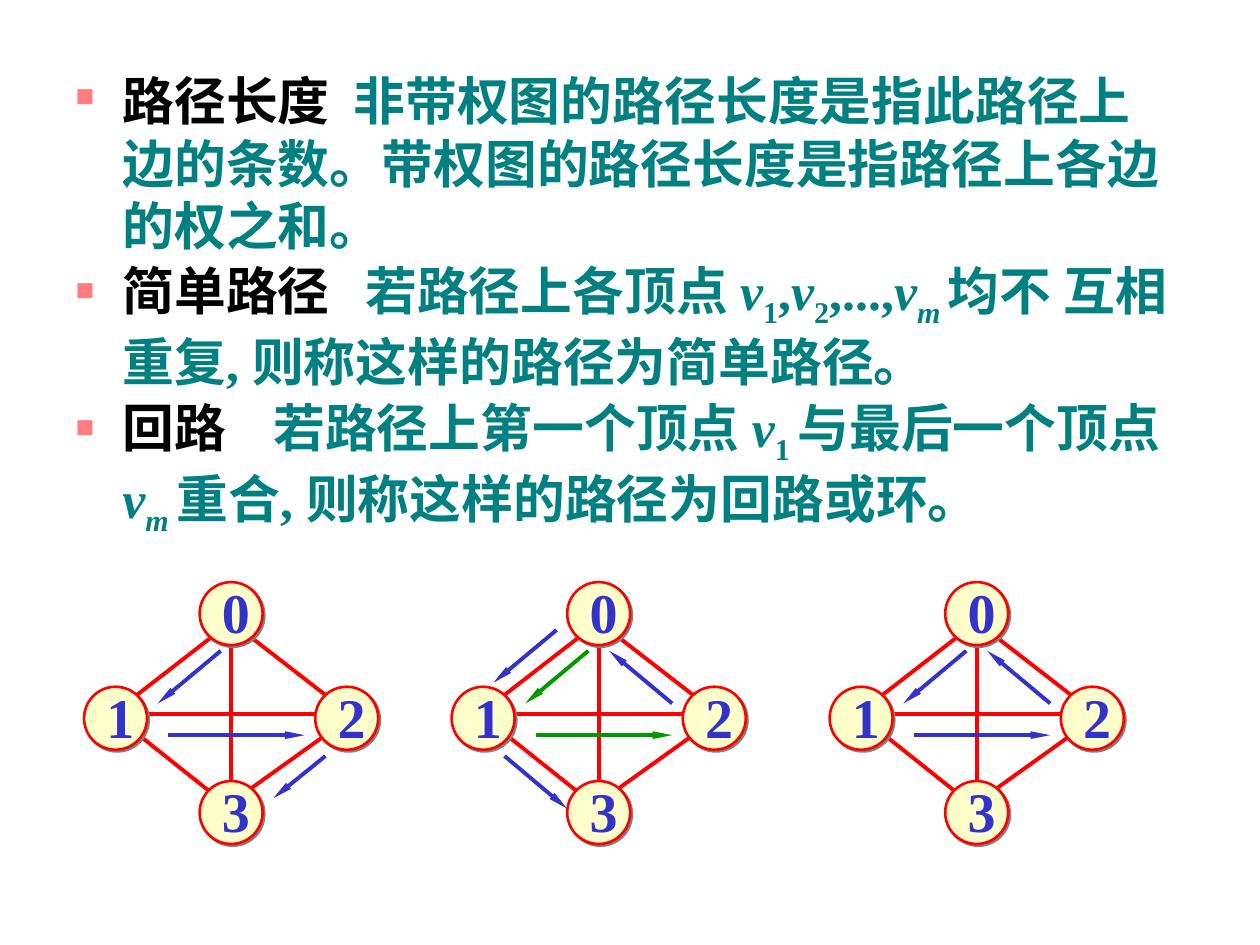
from typing import NamedTuple

from lxml import etree
from pptx import Presentation
from pptx import util as u
from pptx.dml.color import RGBColor
from pptx.enum import shapes, text
from pptx.oxml.ns import qn

Cm, Pt = u.Cm, u.Pt
FONT = "Times New Roman"
BLACK, TEAL, RED, BLUE, GREEN = "000000", "008080", "FF0000", "3333CC", "009900"


class Bit(NamedTuple):
    text: str
    color: str = TEAL
    slant: bool = False
    sub: bool = False


class Node(NamedTuple):
    name: str
    x: float
    y: float


class Line(NamedTuple):
    x1: float
    y1: float
    x2: float
    y2: float


class Graph(NamedTuple):
    mid: float
    arrows: list[tuple[Line, str]]


V = Bit("v", slant=True)
ONE, TWO = Bit("1", sub=True), Bit("2", sub=True)
M = Bit("m ", slant=True, sub=True)
ITEMS = [
    [Bit("路径长度  ", BLACK),
     Bit("非带权图的路径长度是指此路径上边的条数。带权图的路径长度是指路径上各边的权之和。")],
    [Bit("简单路径   ", BLACK), Bit("若路径上各顶点 "), V, ONE, Bit(","), V, TWO,
     Bit(",...,"), V, M, Bit("均不 互相重复, 则称这样的路径为简单路径。")],
    [Bit("回路    ", BLACK), Bit("若路径上第一个顶点 "), V, Bit("1 ", sub=True),
     Bit("与最后一个顶点"), V, M, Bit("重合, 则称这样的路径为回路或环。")],
]

# Horizontal positions are measured from the middle of each graph.
NODES = [Node("0", 0, 12.37), Node("1", -2.33, 14.48),
         Node("2", 2.33, 14.48), Node("3", 0, 16.38)]
EDGES = [
    Line(-2.12, 14.61, 0, 16.3), Line(0.21, 12.7, 2.12, 14.18),
    Line(1.9, 14.82, 0.42, 15.88), Line(-0.21, 12.7, -2.12, 14.18),
    Line(-1.9, 14.39, 1.9, 14.39), Line(0, 12.78, 0, 16.51),
]
DOWN = Line(-0.21, 13.12, -1.48, 14.18)
CROSS = Line(-1.27, 14.82, 1.48, 14.82)
BACK = Line(1.48, 14.18, 0.21, 13.12)
GRAPHS = [
    Graph(4.66, [(DOWN, BLUE), (CROSS, BLUE), (Line(1.9, 15.24, 0.85, 16.09), BLUE)]),
    Graph(12.07, [(DOWN, GREEN), (CROSS, GREEN), (BACK, BLUE),
                  (Line(-0.85, 12.7, -2.12, 13.76), BLUE),
                  (Line(-1.9, 15.24, -0.64, 16.3), BLUE)]),
    Graph(19.69, [(DOWN, BLUE), (CROSS, BLUE), (BACK, BLUE)]),
]
SIZE = 1.27


def paint(part, color: str) -> None:
    """Give a fill or a line one solid colour."""
    part.solid()
    part.fore_color.rgb = RGBColor.from_string(color)


def add(parent, tag: str, **attrs: str):
    """Append an XML child such as a:buChar."""
    return etree.SubElement(parent, qn(tag), attrs)


def style(run, size: float, color: str) -> None:
    run.font.name, run.font.size, run.font.bold = FONT, Pt(size), True
    paint(run.font.fill, color)


def draw_items(slide) -> None:
    box = slide.shapes.add_textbox(Cm(1.27), Cm(1.27), Cm(22.66), Cm(9.96))
    frame = box.text_frame
    frame.word_wrap = True
    for i, bits in enumerate(ITEMS):
        para = frame.add_paragraph() if i else frame.paragraphs[0]
        para.space_before = Pt(2)
        props = para._p.get_or_add_pPr()
        props.set("marL", str(Cm(0.95)))
        props.set("indent", str(-Cm(0.95)))
        add(add(props, "a:buClr"), "a:srgbClr", val="FF7C80")
        add(props, "a:buSzPct", val="50000")
        add(props, "a:buChar", char="■")
        for bit in bits:
            run = para.add_run()
            run.text = bit.text
            style(run, 29.6, bit.color)
            run.font.italic = bit.slant
            if bit.sub:
                run._r.get_or_add_rPr().set("baseline", "-25000")


def draw_line(slide, mid: float, line: Line, color: str, arrow: bool = False) -> None:
    link = slide.shapes.add_connector(
        shapes.MSO_CONNECTOR.STRAIGHT, Cm(mid + line.x1), Cm(line.y1),
        Cm(mid + line.x2), Cm(line.y2))
    paint(link.line.fill, color)
    link.line.width = Pt(2.25)
    if arrow:
        add(link.line._get_or_add_ln(), "a:tailEnd", type="triangle", w="sm", len="lg")
    add(link._element.spPr, "a:effectLst")


def draw_disc(slide, mid: float, node: Node) -> None:
    disc = slide.shapes.add_shape(
        shapes.MSO_SHAPE.OVAL, Cm(mid + node.x - SIZE / 2), Cm(node.y - SIZE / 2),
        Cm(SIZE), Cm(SIZE))
    paint(disc.fill, "FFFFCC")
    paint(disc.line.fill, RED)
    disc.line.width = Pt(1.5)
    disc.shadow.inherit = False
    glow = add(disc._element.spPr.find(qn("a:effectLst")), "a:outerShdw",
               dist=str(Pt(1.4)), dir="2700000", algn="ctr", rotWithShape="0")
    add(glow, "a:srgbClr", val="808080")


def draw_name(slide, mid: float, node: Node) -> None:
    box = slide.shapes.add_textbox(
        Cm(mid + node.x - SIZE / 2 + 0.2), Cm(node.y - SIZE / 2 - 0.21),
        Cm(1.07), Cm(1.63))
    frame = box.text_frame
    frame.text = node.name
    frame.word_wrap = False
    frame.auto_size = text.MSO_AUTO_SIZE.SHAPE_TO_FIT_TEXT
    style(frame.paragraphs[0].runs[0], 32, BLUE)


def draw_graph(slide, graph: Graph) -> None:
    for edge in EDGES:
        draw_line(slide, graph.mid, edge, RED)
    for node in NODES:
        draw_disc(slide, graph.mid, node)
        draw_name(slide, graph.mid, node)
    for line, color in graph.arrows:
        draw_line(slide, graph.mid, line, color, arrow=True)


def main() -> None:
    deck = Presentation()
    deck.slide_width, deck.slide_height = Cm(25.4), Cm(19.05)
    slide = deck.slides.add_slide(deck.slide_layouts[6])
    draw_items(slide)
    for graph in GRAPHS:
        draw_graph(slide, graph)
    deck.save("out.pptx")


if __name__ == "__main__":
    main()
